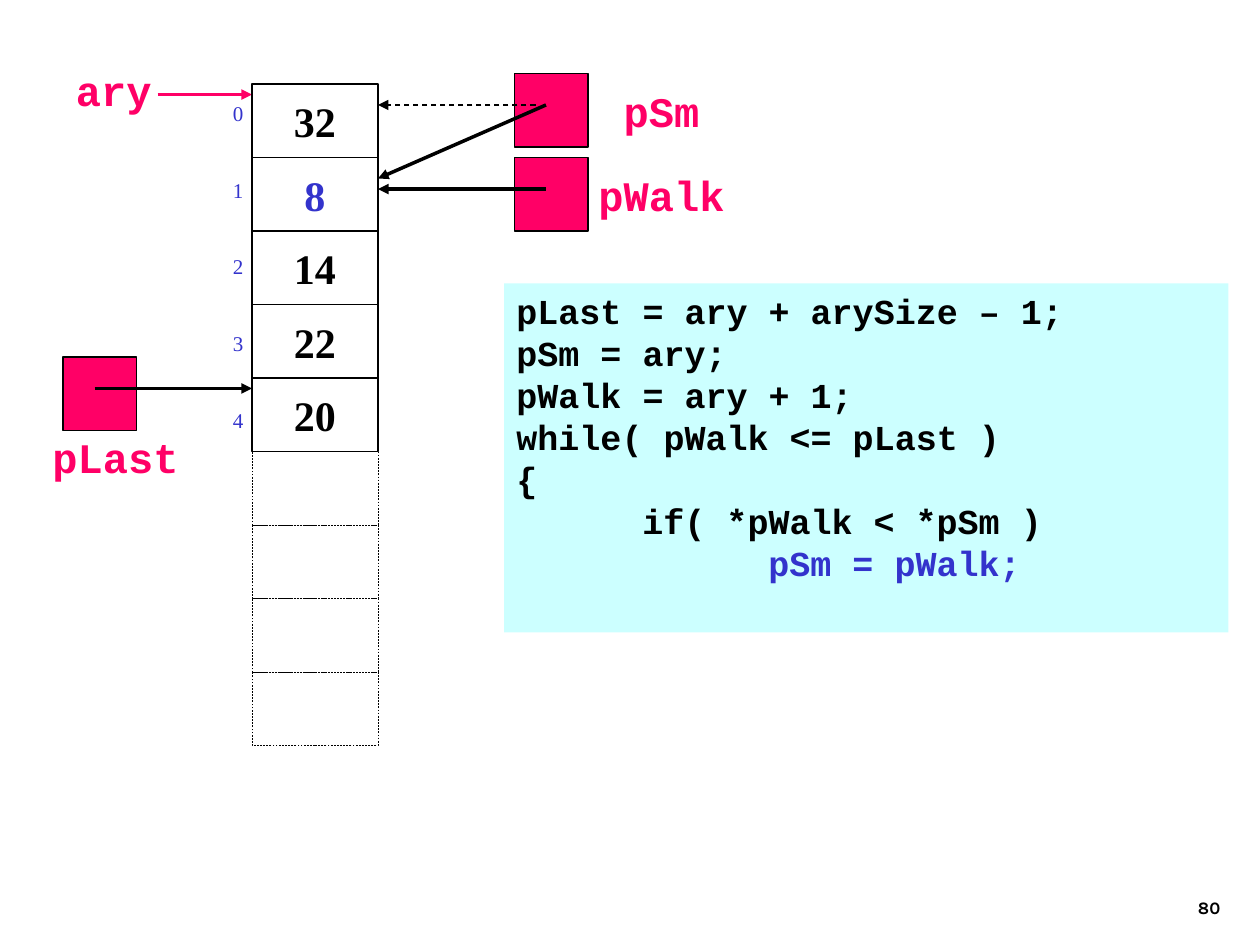
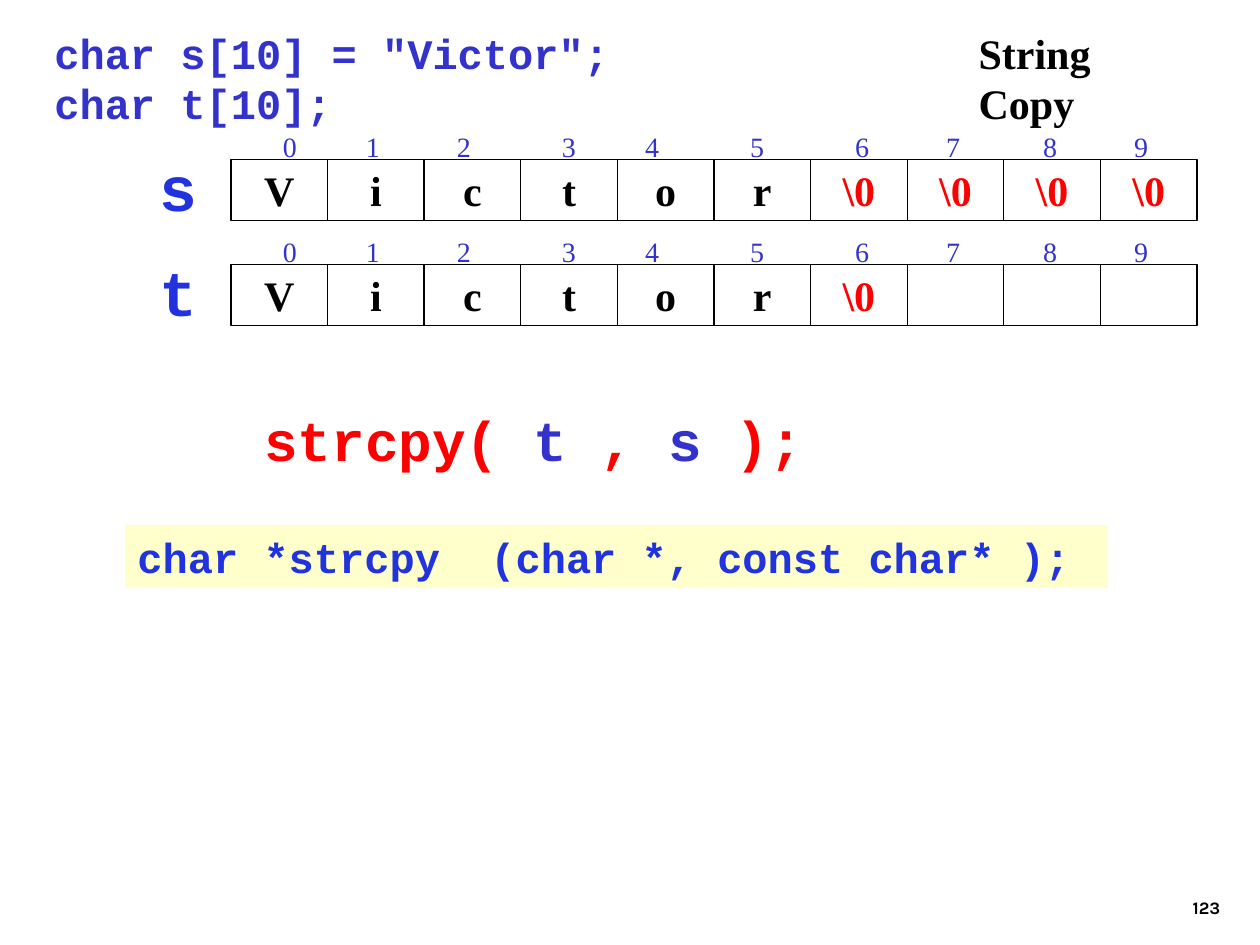
from dataclasses import dataclass

from lxml.etree import SubElement
from pptx import Presentation
from pptx.dml.color import RGBColor
from pptx.enum.dml import MSO_LINE
from pptx.enum.shapes import MSO_CONNECTOR, MSO_SHAPE
from pptx.enum.text import MSO_ANCHOR, MSO_AUTO_SIZE, PP_ALIGN
from pptx.oxml.ns import qn
from pptx.util import Pt


@dataclass(frozen=True)
class Theme:
    # Colours
    black: str = "000000"
    indigo: str = "3333CC"
    blue: str = "2133DF"
    pink: str = "FF0066"
    red: str = "FF0000"
    code_fill: str = "CCFFFF"
    prototype_fill: str = "FFFFCC"
    # Fonts
    serif: str = "Times New Roman"
    mono: str = "Courier New"
    sans: str = "Karla"
    # Type sizes
    number: int = 10
    small_index: int = 12
    index: int = 16
    code: int = 20
    body: int = 24
    call: int = 32
    name: int = 36


THEME = Theme()
LAYOUT_TITLE_ONLY, LAYOUT_BLANK = 5, 6


def write_text(shape, lines, size=THEME.body, color=THEME.black, font=THEME.serif,
               bold=True, align=PP_ALIGN.LEFT, anchor=MSO_ANCHOR.TOP, wrap=True,
               gap=0, tabs=(), tab_align="l"):
    """Fill a shape; each line is a string or a list of (text, colour) pairs."""
    frame = shape.text_frame
    frame.word_wrap = wrap
    frame.auto_size = MSO_AUTO_SIZE.NONE
    frame.vertical_anchor = anchor
    for position, line in enumerate(lines):
        paragraph = frame.add_paragraph() if position else frame.paragraphs[0]
        paragraph.alignment = align
        paragraph.line_spacing = Pt(1.2 * size)
        paragraph.space_before = Pt(gap if position else 0)
        if tabs:
            tab_list = SubElement(paragraph._p.get_or_add_pPr(), qn("a:tabLst"))
            for stop in tabs:
                SubElement(tab_list, qn("a:tab"), pos=str(Pt(stop)), algn=tab_align)
        for text, run_color in [(line, color)] if isinstance(line, str) else line:
            run = paragraph.add_run()
            run.text = text
            run.font.name = font
            run.font.size = Pt(size)
            run.font.bold = bold
            run.font.color.rgb = RGBColor.from_string(run_color)


class SlideBuilder:
    """Holds the theme, the presentation and the current slide."""

    def __init__(self, theme):
        self.theme = theme
        self.presentation = Presentation()
        self.presentation.slide_width = Pt(720)
        self.presentation.slide_height = Pt(540)
        self.slide = None

    def new_slide(self, layout, number):
        layouts = self.presentation.slide_layouts
        self.slide = self.presentation.slides.add_slide(layouts[layout])
        self.text([number], 554.4, 492, 150, 36, size=self.theme.number,
                  font=self.theme.sans, align=PP_ALIGN.RIGHT, anchor=MSO_ANCHOR.BOTTOM)

    def title(self, text, left, top, width, height):
        shape = self.slide.shapes.title
        shape.left, shape.top = Pt(left), Pt(top)
        shape.width, shape.height = Pt(width), Pt(height)
        write_text(shape, [text], wrap=False)

    def text(self, lines, left, top, width, height, **style):
        box = self.slide.shapes.add_textbox(Pt(left), Pt(top), Pt(width), Pt(height))
        write_text(box, lines, **style)

    def label(self, text, left, top):
        self.text([text], left, top, 72, 42, font=self.theme.mono, color=self.theme.pink,
                  align=PP_ALIGN.CENTER, anchor=MSO_ANCHOR.MIDDLE, wrap=False)

    def rectangle(self, left, top, width, height, fill=None, line_width=0.75,
                  dash=None, lines=(), **style):
        shape = self.slide.shapes.add_shape(
            MSO_SHAPE.RECTANGLE, Pt(left), Pt(top), Pt(width), Pt(height))
        shape.shadow.inherit = False
        if fill:
            shape.fill.solid()
            shape.fill.fore_color.rgb = RGBColor.from_string(fill)
        else:
            shape.fill.background()
        if line_width:
            self.format_line(shape.line, self.theme.black, line_width, dash)
        else:
            shape.line.fill.background()
        if lines:
            write_text(shape, lines, **style)

    def cell(self, text, left, top, width, height, color):
        self.rectangle(left, top, width, height, lines=[text] if text else (), color=color,
                       align=PP_ALIGN.CENTER, anchor=MSO_ANCHOR.MIDDLE, wrap=False)

    def pointer_box(self, left, top):
        self.rectangle(left, top, 42, 42, fill=self.theme.pink)

    def arrow(self, start, end, color=THEME.black, width=2, dash=None):
        connector = self.slide.shapes.add_connector(
            MSO_CONNECTOR.STRAIGHT, *[Pt(value) for value in (*start, *end)])
        self.format_line(connector.line, color, width, dash)
        SubElement(connector.line._get_or_add_ln(), qn("a:tailEnd"), type="triangle")
        SubElement(connector._element.spPr, qn("a:effectLst"))

    @staticmethod
    def format_line(line, color, width, dash):
        line.color.rgb = RGBColor.from_string(color)
        line.width = Pt(width)
        if dash:
            line.dash_style = dash


def build_smallest_search(builder):
    theme = builder.theme
    builder.new_slide(LAYOUT_BLANK, "80")

    # Array in memory, followed by unused cells
    array_left, array_top, cell_width, cell_height = 144, 48, 72, 42
    values = ["32", "8", "14", "22", "20"]
    builder.arrow((90, 54), (array_left, 54), color=theme.pink)
    for row, value in enumerate(values):
        builder.cell(value, array_left, array_top + row * cell_height, cell_width,
                     cell_height, theme.indigo if value == "8" else theme.black)
    for row in range(len(values), len(values) + 4):
        builder.rectangle(array_left, array_top + row * cell_height, cell_width,
                          cell_height, line_width=0.25, dash=MSO_LINE.DASH)
    builder.text([str(row) for row in range(len(values))], 126, 54, 30, 197,
                 size=theme.small_index, color=theme.indigo, bold=False, gap=29.4)

    # Code
    code = ["pLast = ary + arySize – 1;", "pSm = ary;", "pWalk = ary + 1;",
            "while( pWalk <= pLast )", "{", "\tif( *pWalk < *pSm )",
            [("\t\tpSm = pWalk;", theme.indigo)]]
    builder.rectangle(288, 162, 414, 199.4, fill=theme.code_fill, line_width=0,
                      lines=code, size=theme.code, font=theme.mono, tabs=(72, 144))

    # Pointers: name, its place, box, and arrow
    pointers = [
        ("pLast", (30, 240), (36, 204), (54, 222), (144, 222)),
        ("pWalk", (342, 90), (294, 90), (312, 108), (216, 108)),
        ("pSm", (342, 42), (294, 42), (312, 60), (216, 102)),
    ]
    for name, label_place, box_place, start, end in pointers:
        builder.label(name, *label_place)
        builder.pointer_box(*box_place)
        builder.arrow(start, end)
    builder.arrow((306, 60), (216, 60), width=0.75, dash=MSO_LINE.DASH)
    builder.label("ary", 29, 30)


def build_string_copy(builder):
    theme = builder.theme
    builder.new_slide(LAYOUT_TITLE_ONLY, "123")
    builder.title("String Copy", 552, 12, 139, 36)
    builder.text(['char s[10] = "Victor";', "char t[10];"], 24, 12, 534, 93.6,
                 font=theme.mono, color=theme.indigo)

    # Character arrays with their indexes
    array_left, cell_width, cell_height = 132, 55.2, 35
    index_stops = (26.5, 74, 126, 186, 233.5, 293.5, 353.5, 405.5, 461, 513)
    end_mark = r"\0"
    arrays = [("s", 91, [*"Victor"] + [end_mark] * 4),
              ("t", 151, [*"Victor", end_mark] + [""] * 3)]
    for name, top, characters in arrays:
        builder.text(["".join(f"\t{index}" for index in range(10))], array_left, top - 25,
                     10 * cell_width, cell_height, size=theme.index, color=theme.indigo,
                     bold=False, anchor=MSO_ANCHOR.MIDDLE, tabs=index_stops, tab_align="ctr")
        for column, character in enumerate(characters):
            builder.cell(character, array_left + column * cell_width, top, cell_width,
                         cell_height, theme.red if character == end_mark else theme.black)
        builder.text([name], 84, top - 9.5, 36, 50.4, size=theme.name, font=theme.mono,
                     color=theme.blue, align=PP_ALIGN.RIGHT, wrap=False)

    # Call and prototype
    call = [("strcpy( ", theme.red), ("t ", theme.indigo), (",", theme.red),
            (" s ", theme.indigo), (");", theme.red)]
    builder.text([call], 144, 228, 324, 75, size=theme.call, font=theme.mono)
    builder.rectangle(71.5, 300, 561.6, 36, fill=theme.prototype_fill, line_width=0,
                      lines=["char *strcpy  (char *, const char* );"],
                      font=theme.mono, color=theme.blue, wrap=False)


def main():
    builder = SlideBuilder(THEME)
    build_smallest_search(builder)
    build_string_copy(builder)
    builder.presentation.save("out.pptx")


if __name__ == "__main__":
    main()
